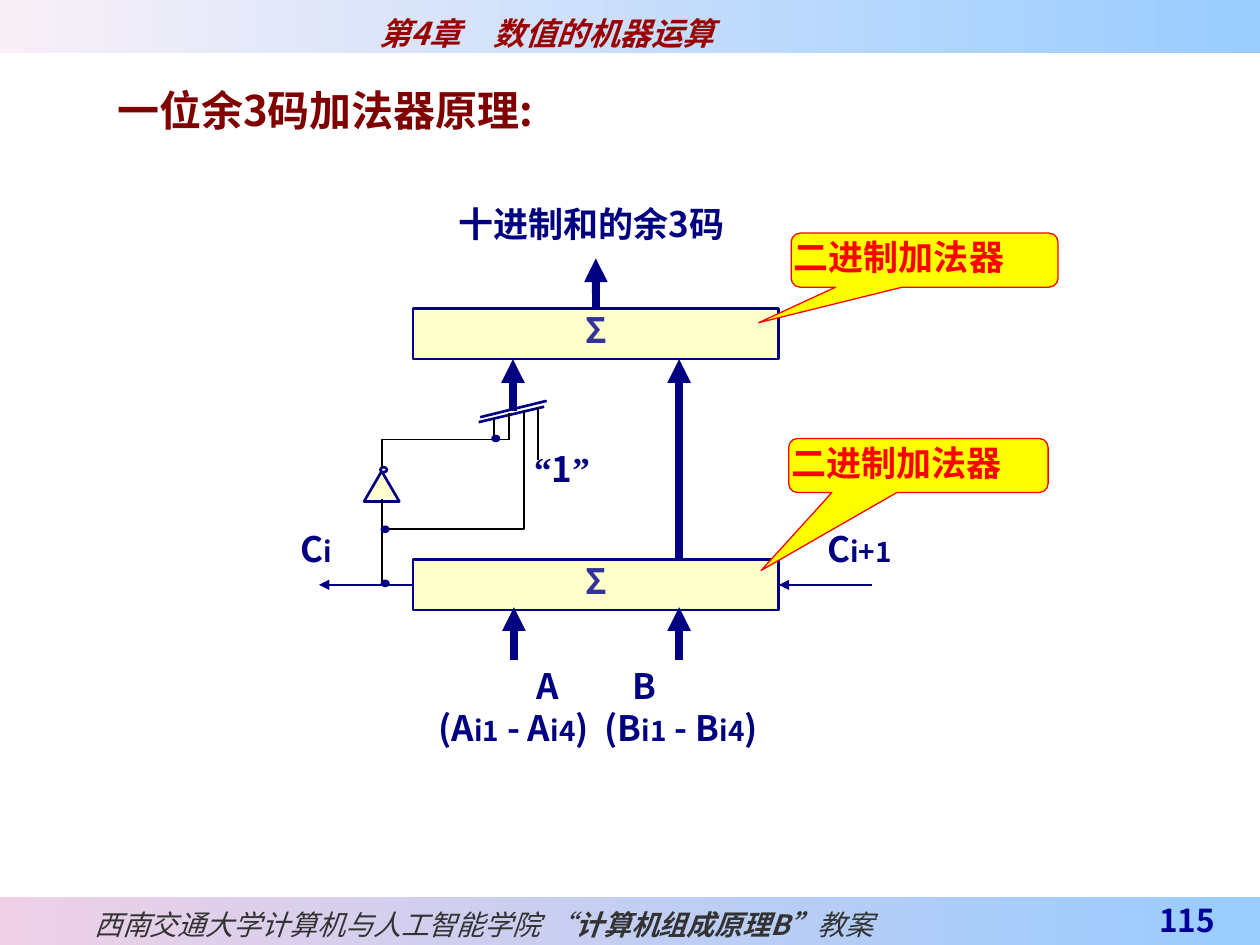
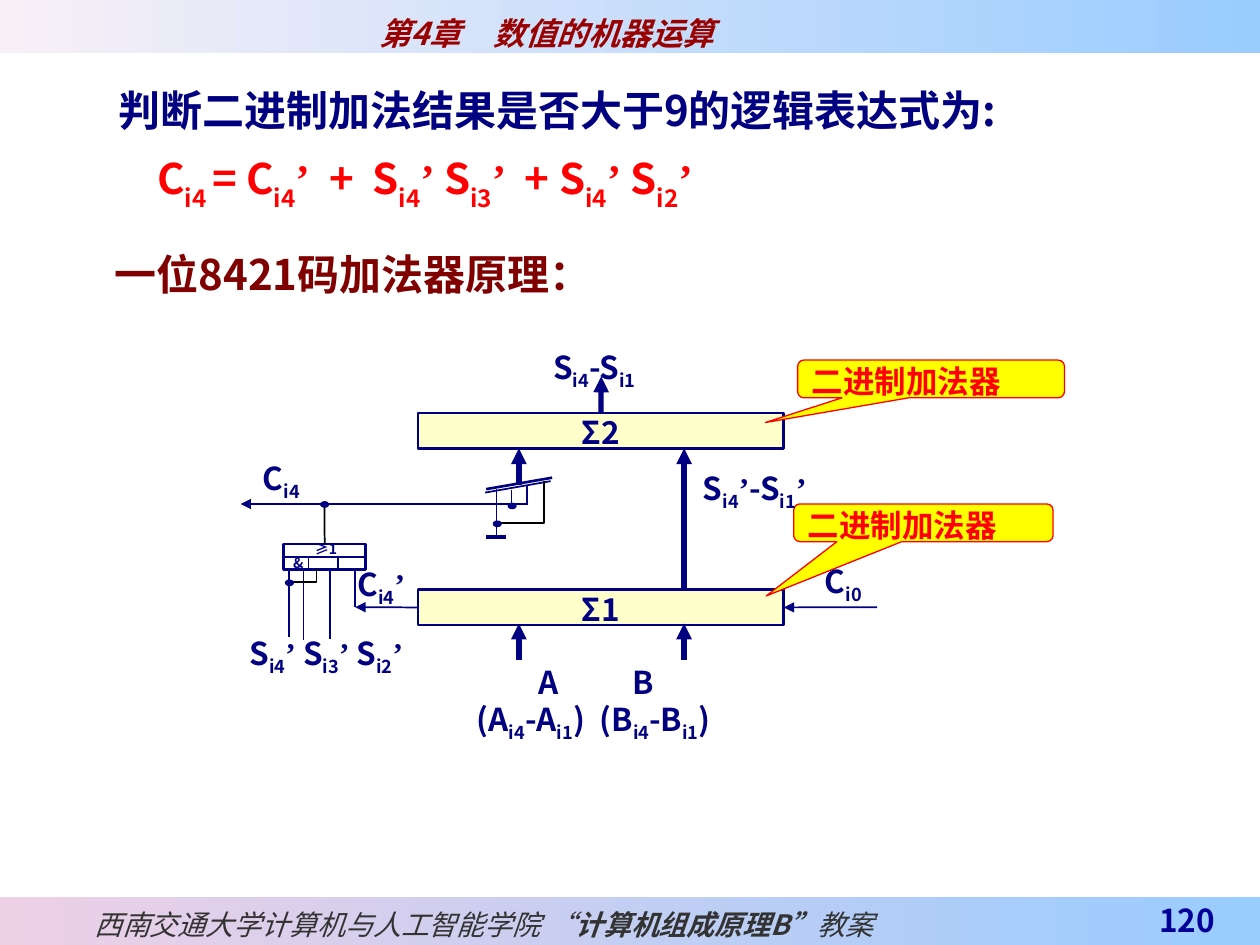
from itertools import groupby
from lxml.etree import SubElement
from pptx import Presentation
from pptx.dml.color import RGBColor
from pptx.enum.shapes import MSO_CONNECTOR, MSO_SHAPE
from pptx.enum.text import MSO_ANCHOR, MSO_AUTO_SIZE, PP_ALIGN
from pptx.oxml.ns import qn
from pptx.util import Cm, Pt

HUES = {"navy": "000080", "black": "000000", "cream": "FFFFCC", "white": "FFFFFF",
        "red": "FF0000", "yellow": "FFFF00", "maroon": "800000", "sigma": "333399",
        "head": "990000", "foot": "333333", "page": "000099",
        "pale": "F8F0F7", "pink": "EED0E6", "sky": "99CCFF"}
INK = {name: RGBColor.from_string(code) for name, code in HUES.items()}
SANS, SERIF = "Noto Sans CJK SC", "Times New Roman"
LEFT, MID, RIGHT = PP_ALIGN.LEFT, PP_ALIGN.CENTER, PP_ALIGN.RIGHT


def write(shape, lines, size, hue, align=LEFT, pad=(0, 0), gap=None, low=-25, stops=()):
    frame = shape.text_frame
    frame.word_wrap = True
    frame.auto_size = MSO_AUTO_SIZE.NONE
    frame.vertical_anchor = MSO_ANCHOR.TOP
    frame.margin_left = frame.margin_right = Cm(pad[0])
    frame.margin_top = frame.margin_bottom = Cm(pad[1])
    for row, line in enumerate(lines):
        para = frame.add_paragraph() if row else frame.paragraphs[0]
        para.alignment = align
        if gap:
            para.line_spacing = gap
        if row < len(stops) and stops[row]:
            tabs = SubElement(para._p.get_or_add_pPr(), qn("a:tabLst"))
            for stop in stops[row]:
                SubElement(tabs, qn("a:tab"), pos=str(Cm(stop)), algn="l")
        for turn, piece in enumerate(line.split("|")):
            for quote, part in groupby(piece, lambda sign: sign in "“”’"):
                run = para.add_run()
                run.text = "".join(part)
                face = SERIF if quote else SANS
                run.font.name, run.font.bold = face, True
                run.font.size = Pt(size)
                run.font.color.rgb = INK[hue]
                props = run._r.get_or_add_rPr()
                SubElement(props, qn("a:ea"), typeface=face)
                if turn % 2 and low:
                    props.set("baseline", str(low * 1000))
                elif turn % 2:
                    run.font.size = Pt(16)


def draw(page, kind, place, fill, edge=None, weight=1.5):
    shape = page.shapes.add_shape(kind, *[Cm(n) for n in place])
    shape.shadow.inherit = False
    if isinstance(fill, tuple):
        shape.fill.gradient()
        shape.fill.gradient_angle = 0
        for stop, hue in zip(shape.fill.gradient_stops, fill):
            stop.color.rgb = INK[hue]
    else:
        shape.fill.solid()
        shape.fill.fore_color.rgb = INK[fill]
    if edge:
        shape.line.color.rgb = INK[edge]
        shape.line.width = Pt(weight)
    else:
        shape.line.fill.background()
    return shape


deck = Presentation()
deck.slide_width, deck.slide_height = Cm(25.4), Cm(19.05)
base = deck.slide_layouts[5]

excess = {
    "page": "115", "title": ["一位余3码加法器原理:"], "spot": (2.11, 1.57, 23.29, 1.27),
    "hue": "maroon", "gap": None, "stops": (), "size": 20, "pad": (0, 0), "low": 0,
    "ink": "sigma", "dot": (0.13, 0.1), "thick": 4.5,
    "boxes": [("Σ", (8.33, 6.22, 7.37, 1.02), "cream"),
              ("Σ", (8.33, 11.28, 7.37, 1.02), "cream")],
    "signs": [(MSO_SHAPE.ISOSCELES_TRIANGLE, (7.34, 9.5, 0.71, 0.61)),
              (MSO_SHAPE.OVAL, (7.67, 9.42, 0.13, 0.1))],
    "buses": [(12.01, 6.22, 12.01, 5.21), (10.36, 13.31, 10.36, 12.24),
              (13.69, 13.31, 13.69, 12.24), (13.69, 11.25, 13.69, 7.24),
              (10.34, 8.28, 10.34, 7.24)],
    "flows": [(8.33, 11.79, 6.43, 11.79), (17.58, 11.79, 15.7, 11.79)],
    "wires": [(9.68, 8.41, 11.02, 8.08, "navy", 1.5), (9.65, 8.51, 10.97, 8.2, "navy", 1.5),
              (9.96, 8.43, 9.96, 8.86, "black", 1), (10.26, 8.33, 10.26, 8.86, "black", 1),
              (10.57, 8.33, 10.57, 9.19, "black", 0.75), (10.85, 8.23, 10.85, 9.27, "black", 1),
              (7.7, 11.76, 7.7, 10.06, "black", 1)],
    "bends": [[(7.7, 9.42), (7.7, 8.86), (10.29, 8.86)],
              [(7.7, 10.67), (10.57, 10.67), (10.57, 8.28)]],
    "dots": [(7.7, 10.62), (9.93, 8.79), (7.7, 11.71)],
    "calls": [((15.95, 4.7, 5.38, 1.09), -0.622, 1.157),
              ((15.9, 8.84, 5.23, 1.09), -0.606, 1.94)],
    "texts": [(["C|i"], (5.46, 10.64, 1.83, 1.24), MID, ()),
              (["C|i+1"], (16.26, 10.64, 2.13, 1.24), MID, ()),
              (["“1”"], (10.77, 9.02, 1.83, 1.24), LEFT, ()),
              (["十进制和的余3码"], (6.12, 4.09, 11.61, 1.19), MID, ()),
              (["\tA\tB", "\t(A|i1| - A|i4|)\t(B|i1| - B|i4|)"], (6.22, 13.39, 11.61, 1.98),
               LEFT, [(4.6, 6.54), (2.62, 5.97)])],
}

bcd = {
    "page": "120", "spot": (2.13, 1.27, 23.27, 2.92),
    "title": ["判断二进制加法结果是否大于9的逻辑表达式为:",
              "\tC|i4 |= C|i4|’\t+\tS|i4|’ S|i3|’\t+ S|i4|’ S|i2|’"],
    "hue": "navy", "gap": 1.3, "stops": [(), (0.79, 4.27, 5.13, 8.2)],
    "size": 18, "pad": (0.25, 0), "low": -25,
    "ink": "navy", "dot": (0.13, 0.08), "thick": 3,
    "boxes": [("Σ2", (8.43, 8.33, 7.37, 0.71), "cream"),
              ("Σ1", (8.43, 11.89, 7.37, 0.71), "cream"),
              ("", (5.72, 10.97, 1.65, 0.51), "white")],
    "signs": [],
    "buses": [(12.12, 8.33, 12.12, 7.59), (10.46, 13.31, 10.46, 12.57),
              (13.79, 13.31, 13.79, 12.57), (13.79, 11.86, 13.79, 9.04),
              (10.46, 9.78, 10.46, 9.04)],
    "flows": [(8.43, 12.24, 7.16, 12.24), (17.68, 12.24, 15.8, 12.24),
              (10.62, 10.16, 4.85, 10.16)],
    "wires": [(9.8, 9.86, 11.13, 9.63, "navy", 1.5), (9.78, 9.93, 11.1, 9.7, "navy", 1),
              (10.31, 9.88, 10.31, 10.19, "navy", 1), (10.62, 9.8, 10.62, 10.19, "navy", 1),
              (5.72, 11.23, 7.37, 11.23, "navy", 1), (6.22, 11.25, 6.22, 11.46, "navy", 1),
              (6.81, 11.25, 6.81, 11.46, "navy", 1), (6.54, 10.97, 6.54, 10.19, "black", 1),
              (10.01, 9.86, 10.01, 10.8, "navy", 1), (9.8, 10.82, 10.21, 10.82, "navy", 2.25),
              (7.16, 12.24, 7.16, 11.46, "navy", 1), (5.82, 11.46, 5.82, 12.85, "navy", 1),
              (6.65, 11.46, 6.65, 12.88, "navy", 1), (6.12, 11.48, 6.12, 12.9, "navy", 1)],
    "bends": [[(10.97, 9.7), (10.97, 10.54), (10.01, 10.54)],
              [(6.38, 11.46), (6.38, 11.73), (5.82, 11.73)]],
    "dots": [(5.77, 11.71), (6.48, 10.13), (10.26, 10.16), (9.96, 10.52)],
    "calls": [((16.08, 7.26, 5.38, 0.76), -0.621, 1.156),
              ((16, 10.16, 5.23, 0.76), -0.606, 1.941)],
    "texts": [(["C|i4|’"], (6.96, 11.4, 1.7, 0.86), LEFT, ()),
              (["C|i0"], (16.38, 11.33, 2.13, 0.86), LEFT, ()),
              (["S|i4|-S|i1"], (10.9, 7.01, 2.92, 0.84), LEFT, ()),
              (["S|i4|’-S|i1|’"], (13.92, 9.45, 3.33, 0.84), LEFT, ()),
              (["C|i4"], (5.05, 9.25, 1.7, 0.86), LEFT, ()),
              (["S|i4|’ S|i3|’ S|i2|’"], (4.78, 12.78, 4.06, 1.09), LEFT, ()),
              (["\tA\tB", "\t(A|i4|-A|i1|)\t(B|i4|-B|i1|)"], (7.82, 13.36, 8.25, 1.4),
               LEFT, [(2.79, 4.68), (1.54, 4.02)])],
}

for plan in (excess, bcd):
    page = deck.slides.add_slide(base)

    if plan is excess:
        head = draw(page, MSO_SHAPE.RECTANGLE, (0, 0, 25.4, 1.07), ("pale", "sky"))
        write(head, ["第4章\t数值的机器运算"], 18, "head", pad=(0, 0.13), gap=1.2, stops=[(2.3,)])
        head.text_frame.margin_left = Cm(7.65)
        head.text_frame.paragraphs[0].runs[0].font.italic = True
        foot = draw(page, MSO_SHAPE.RECTANGLE, (0, 18.08, 25.4, 0.97), ("pink", "sky"))
        write(foot, ["西南交通大学计算机与人工智能学院 ||“||计算机组成||原理B||”||教案"], 16, "foot", gap=1.2)
        foot.text_frame.margin_left = Cm(1.9)
        foot.text_frame.vertical_anchor = MSO_ANCHOR.MIDDLE
        for run in foot.text_frame.paragraphs[0].runs:
            run.font.italic = True
            run.font.bold = run.text in ("计算机组成", "原理B", "”")
            run.font.name = {"“": "Arial", "计算机组成": SERIF}.get(run.text, SANS)
            run._r.rPr.find(qn("a:ea")).set("typeface", SANS)
        for rank, band in enumerate((head, foot)):
            band._element.nvSpPr.cNvPr.set("id", str(90 + rank))
            base.shapes._spTree.insert(2 + rank, band._element)

    title = page.shapes.title
    title.left, title.top, title.width, title.height = [Cm(n) for n in plan["spot"]]
    write(title, plan["title"], 24, plan["hue"], pad=(0.25, 0.13), gap=plan["gap"],
          low=-30, stops=plan["stops"])
    for para in title.text_frame.paragraphs[1:]:
        for run in para.runs:
            run.font.color.rgb = INK["red"]

    count = page.shapes.add_textbox(Cm(22), Cm(18.08), Cm(2.74), Cm(0.97))
    write(count, [plan["page"]], 18, "page", RIGHT, (0.25, 0), 1.2)
    count.text_frame.margin_bottom = Cm(0.13)
    count.text_frame.vertical_anchor = MSO_ANCHOR.BOTTOM

    ports = []
    for mark, (x, y, w, h), fill in plan["boxes"]:
        box = draw(page, MSO_SHAPE.RECTANGLE, (x, y, w, h), fill, "navy")
        if mark:
            write(box, [mark], plan["size"], plan["ink"], MID, plan["pad"])
        sides = [(x + w / 2, y), (x, y + h / 2), (x + w / 2, y + h), (x + w, y + h / 2)]
        ports += [(box, side, spot) for side, spot in enumerate(sides)]
    for kind, place in plan["signs"]:
        draw(page, kind, place, "cream", "navy")

    links = [(*bus, "navy", plan["thick"], True) for bus in plan["buses"]]
    links += [(*flow, "navy", 1, True) for flow in plan["flows"]]
    links += [(*wire, False) for wire in plan["wires"]]
    for x1, y1, x2, y2, hue, weight, arrow in links:
        link = page.shapes.add_connector(MSO_CONNECTOR.STRAIGHT, Cm(x1), Cm(y1), Cm(x2), Cm(y2))
        link.line.color.rgb = INK[hue]
        link.line.width = Pt(weight)
        if arrow:
            SubElement(link.line._get_or_add_ln(), qn("a:tailEnd"), type="triangle")
        SubElement(link._element.spPr, qn("a:effectLst"))
        for box, side, (x, y) in ports:
            if abs(x - x1) + abs(y - y1) < 0.03:
                link.begin_connect(box, side)
            if abs(x - x2) + abs(y - y2) < 0.03:
                link.end_connect(box, side)

    for first, *rest in plan["bends"]:
        path = page.shapes.build_freeform(Cm(first[0]), Cm(first[1]))
        path.add_line_segments([(Cm(x), Cm(y)) for x, y in rest], close=False)
        bend = path.convert_to_shape()
        bend.shadow.inherit = False
        bend.fill.background()
        bend.line.color.rgb = INK["black"]
        bend.line.width = Pt(1)
    for x, y in plan["dots"]:
        draw(page, MSO_SHAPE.OVAL, (x, y, *plan["dot"]), "navy", "navy")

    for place, dx, dy in plan["calls"]:
        call = draw(page, MSO_SHAPE.ROUNDED_RECTANGULAR_CALLOUT, place, "yellow", "red", 0.75)
        call.adjustments[0], call.adjustments[1] = dx, dy
        write(call, ["二进制加法器"], plan["size"], "red", pad=plan["pad"])
    for lines, place, align, stops in plan["texts"]:
        note = page.shapes.add_textbox(*[Cm(n) for n in place])
        write(note, lines, plan["size"], "navy", align, plan["pad"], None, plan["low"], stops)

gate = page.shapes.add_textbox(Cm(5.66), Cm(10.97), Cm(1.83), Cm(0.53))
write(gate, ["\t≥1", "&"], 8, "navy", pad=(0.25, 0), gap=0.8, stops=[(0.44,)])
topic = page.shapes.add_textbox(Cm(2.06), Cm(4.88), Cm(23.34), Cm(1.27))
write(topic, ["一位8421码加法器原理："], 24, "maroon", pad=(0.25, 0.13))

deck.save("out.pptx")
